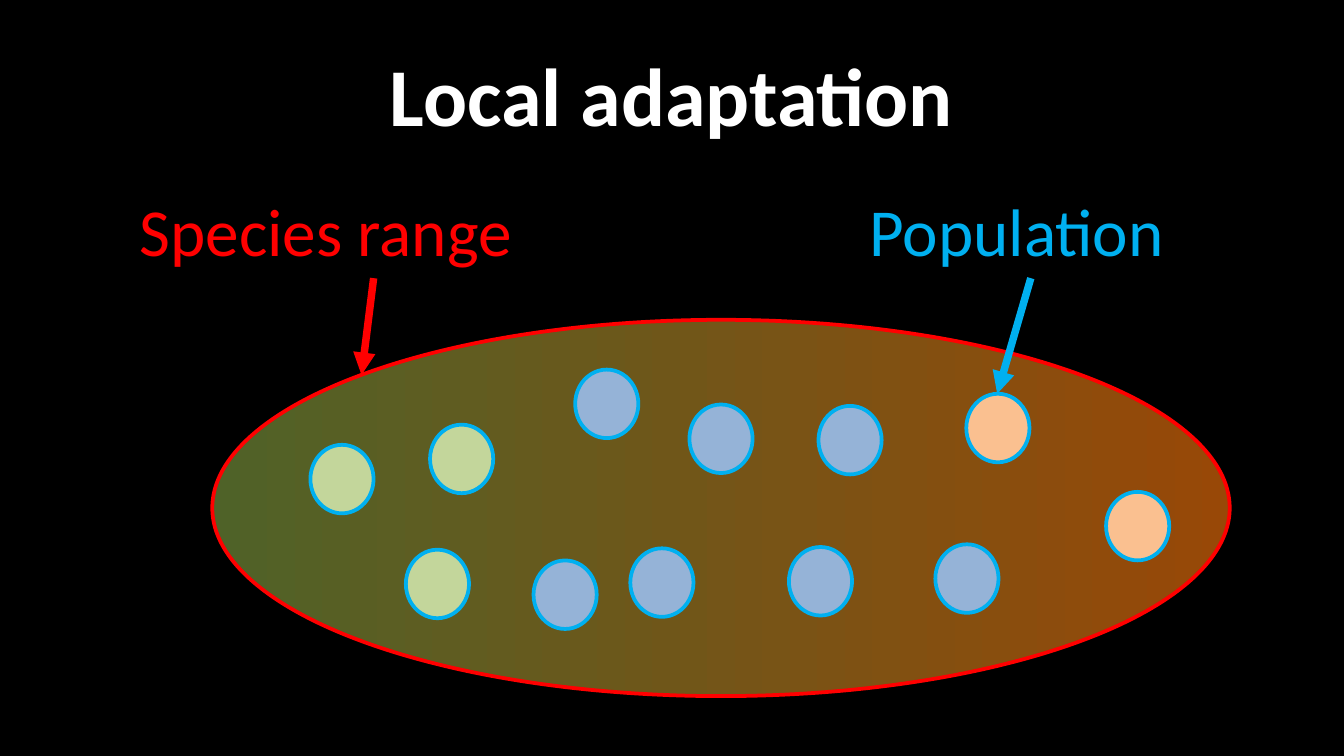
from lxml import etree
from pptx import Presentation
from pptx import util as u
from pptx.dml.color import RGBColor
from pptx.enum import shapes, text
from pptx.oxml.ns import qn

BLACK = RGBColor(0x00, 0x00, 0x00)
WHITE = RGBColor(0xFF, 0xFF, 0xFF)
RED = RGBColor(0xFF, 0x00, 0x00)
BLUE = RGBColor(0x00, 0xB0, 0xF0)
DARK_GREEN = RGBColor(0x4F, 0x62, 0x28)
DARK_ORANGE = RGBColor(0x98, 0x48, 0x07)
PALE_GREEN = RGBColor(0xC3, 0xD6, 0x9B)
PALE_BLUE = RGBColor(0x95, 0xB3, 0xD7)
PALE_ORANGE = RGBColor(0xFA, 0xC0, 0x90)

SLIDE_WIDTH = 10
SLIDE_HEIGHT = SLIDE_WIDTH * 9 / 16
TITLE = ("Local adaptation", (0.5, 0.23, 9, 0.94))
LABELS = [
    ("Species range", (0.94, 1.36, 3.68, 0.71), RED),
    ("Population", (6.37, 1.36, 2.6, 0.71), BLUE),
]
ARROWS = [
    ((2.78, 2.07), (2.69, 2.79), RED),
    ((7.67, 2.07), (7.42, 2.93), BLUE),
]
RANGE_BOX = (1.58, 2.38, 7.57, 2.8)
POPULATION_SIZE = (0.47, 0.51)
POPULATIONS = {
    PALE_GREEN: [(2.31, 3.31), (3.02, 4.09), (3.2, 3.16)],
    PALE_BLUE: [(4.69, 4.08), (5.13, 3.01), (5.87, 4.07), (6.09, 3.02),
                (4.28, 2.75), (3.97, 4.17), (6.96, 4.05)],
    PALE_ORANGE: [(7.19, 2.93), (8.23, 3.66)],
}


def inches(values):
    return [u.Inches(value) for value in values]


def add_text(slide, words, box, color, **font_format):
    frame = slide.shapes.add_textbox(*inches(box)).text_frame
    frame.word_wrap = True
    paragraph = frame.paragraphs[0]
    run = paragraph.add_run()
    run.text = words
    run.font.color.rgb = color
    for name, value in {"name": "Calibri", **font_format}.items():
        setattr(run.font, name, value)
    return frame


def add_ellipse(slide, box, outline):
    ellipse = slide.shapes.add_shape(shapes.MSO_SHAPE.OVAL, *inches(box))
    ellipse.shadow.inherit = False
    ellipse.line.color.rgb = outline
    ellipse.line.width = u.Pt(2)
    return ellipse


def add_arrow(slide, start, end, color):
    arrow = slide.shapes.add_connector(
        shapes.MSO_CONNECTOR.STRAIGHT, *inches(start + end))
    arrow.line.color.rgb = color
    arrow.line.width = u.Pt(4)
    properties = arrow._element.spPr
    etree.SubElement(properties.find(qn("a:ln")), qn("a:tailEnd"), type="triangle")
    etree.SubElement(properties, qn("a:effectLst"))


def main():
    deck = Presentation()
    deck.slide_width, deck.slide_height = inches((SLIDE_WIDTH, SLIDE_HEIGHT))
    slide = deck.slides.add_slide(deck.slide_layouts[6])
    slide.background.fill.solid()
    slide.background.fill.fore_color.rgb = BLACK

    title = add_text(slide, *TITLE, WHITE, size=u.Pt(44), bold=True)
    title.vertical_anchor = text.MSO_ANCHOR.MIDDLE
    title.paragraphs[0].alignment = text.PP_ALIGN.CENTER

    for words, box, color in LABELS:
        add_text(slide, words, box, color, size=u.Pt(36))

    gradient = add_ellipse(slide, RANGE_BOX, RED).fill
    gradient.gradient()
    gradient.gradient_angle = 0
    for stop, color in zip(gradient.gradient_stops, (DARK_GREEN, DARK_ORANGE)):
        stop.color.rgb = color

    for color, corners in POPULATIONS.items():
        for corner in corners:
            population = add_ellipse(slide, corner + POPULATION_SIZE, BLUE)
            population.fill.solid()
            population.fill.fore_color.rgb = color

    for start, end, color in ARROWS:
        add_arrow(slide, start, end, color)

    deck.save("out.pptx")


if __name__ == "__main__":
    main()
